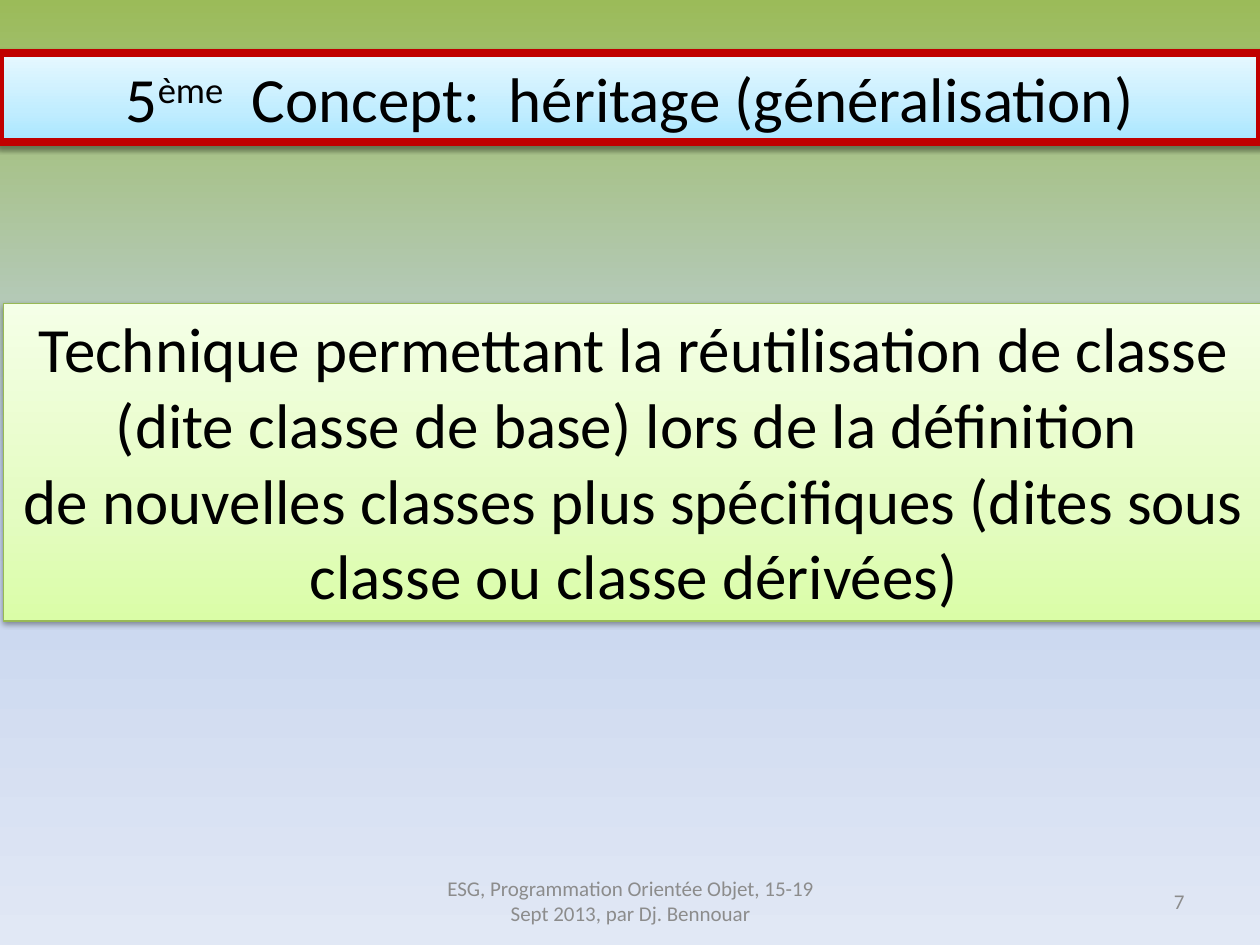
from lxml.etree import SubElement as Sub
from pptx import Presentation
from pptx.dml.color import RGBColor as RGB
from pptx.enum.shapes import MSO_SHAPE as Shape
from pptx.enum.text import MSO_ANCHOR as Anchor, MSO_AUTO_SIZE as Auto, PP_ALIGN as Align
from pptx.oxml.ns import qn
from pptx.util import Inches, Pt

WIDE, HIGH = 10, 7.5
INK = {"text": "000000", "foot": "8C8C8C", "red": "C00000", "green": "98B955"}
FADE = {
    "back": [(0, "9BBB59"), (50, "C2D1ED"), (100, "E1E8F5")],
    "blue": [(0, "A7E6FF"), (35, "C1EDFF"), (100, "E7F8FF")],
    "lime": [(0, "DAFDA7"), (35, "E4FCC2"), (100, "F5FFE7")],
}
TITLE = [[("5", 0), ("ème", 30), ("  Concept:  héritage (généralisation)", 0)]]
BODY = [
    [("Technique permettant la réutilisation de classe (dite classe de base) lors de la définition ", 0)],
    [("de nouvelles classes plus spécifiques (dites sous classe ou classe dérivées)", 0)],
]
PANELS = [
    (TITLE, (0, 0.42, WIDE, 0.71), "blue", "red", 4.5),
    (BODY, (0.03, 2.41, WIDE, 2.52), "lime", "green", 0.75),
]
FOOT = [
    ("ESG, Programmation Orientée Objet, 15-19 Sept 2013, par Dj. Bennouar", 3.42, 3.17, Align.CENTER),
    ("7", 7.17, 2.33, Align.RIGHT),
]


def write(box, paras, size=36, ink="text", align=Align.CENTER, anchor=Anchor.TOP, auto=Auto.NONE):
    frame = box.text_frame
    frame.word_wrap = True
    frame.auto_size = auto
    frame.vertical_anchor = anchor
    for i, runs in enumerate(paras):
        para = frame.paragraphs[0] if i == 0 else frame.add_paragraph()
        para.alignment = align
        for text, rise in runs:
            run = para.add_run()
            run.text = text
            font = run.font
            font.name, font.size = "Calibri", Pt(size)
            font.color.rgb = RGB.from_string(INK[ink])
            if rise:
                run._r.get_or_add_rPr().set("baseline", str(rise * 1000))


def blend(fill, root, stops, angle):
    fill.gradient()
    fill.gradient_angle = angle
    group = root.find(".//" + qn("a:gsLst"))
    for old in list(group):
        group.remove(old)
    for pos, tint in stops:
        stop = Sub(group, qn("a:gs"), pos=str(pos * 1000))
        Sub(stop, qn("a:srgbClr"), val=tint)


def shade(shape):
    shape.shadow.inherit = False
    drop = Sub(shape.element.spPr.find(qn("a:effectLst")), qn("a:outerShdw"),
               blurRad=str(Pt(3.1)), dist=str(Pt(1.6)), dir="5400000", rotWithShape="0")
    tint = Sub(drop, qn("a:srgbClr"), val="000000")
    Sub(tint, qn("a:alpha"), val="38000")


deck = Presentation()
deck.slide_width, deck.slide_height = Inches(WIDE), Inches(HIGH)
slide = deck.slides.add_slide(deck.slide_layouts[6])
blend(slide.background.fill, slide.element, FADE["back"], 270)

for text, left, width, align in FOOT:
    box = slide.shapes.add_textbox(*map(Inches, (left, 6.95, width, 0.4)))
    write(box, [[(text, 0)]], size=12, ink="foot", align=align, anchor=Anchor.MIDDLE)

for paras, place, fade, edge, thick in PANELS:
    panel = slide.shapes.add_shape(Shape.RECTANGLE, *map(Inches, place))
    blend(panel.fill, panel.element, FADE[fade], 90)
    panel.line.color.rgb = RGB.from_string(INK[edge])
    panel.line.width = Pt(thick)
    shade(panel)
    write(panel, paras, auto=Auto.SHAPE_TO_FIT_TEXT)

deck.save("out.pptx")
